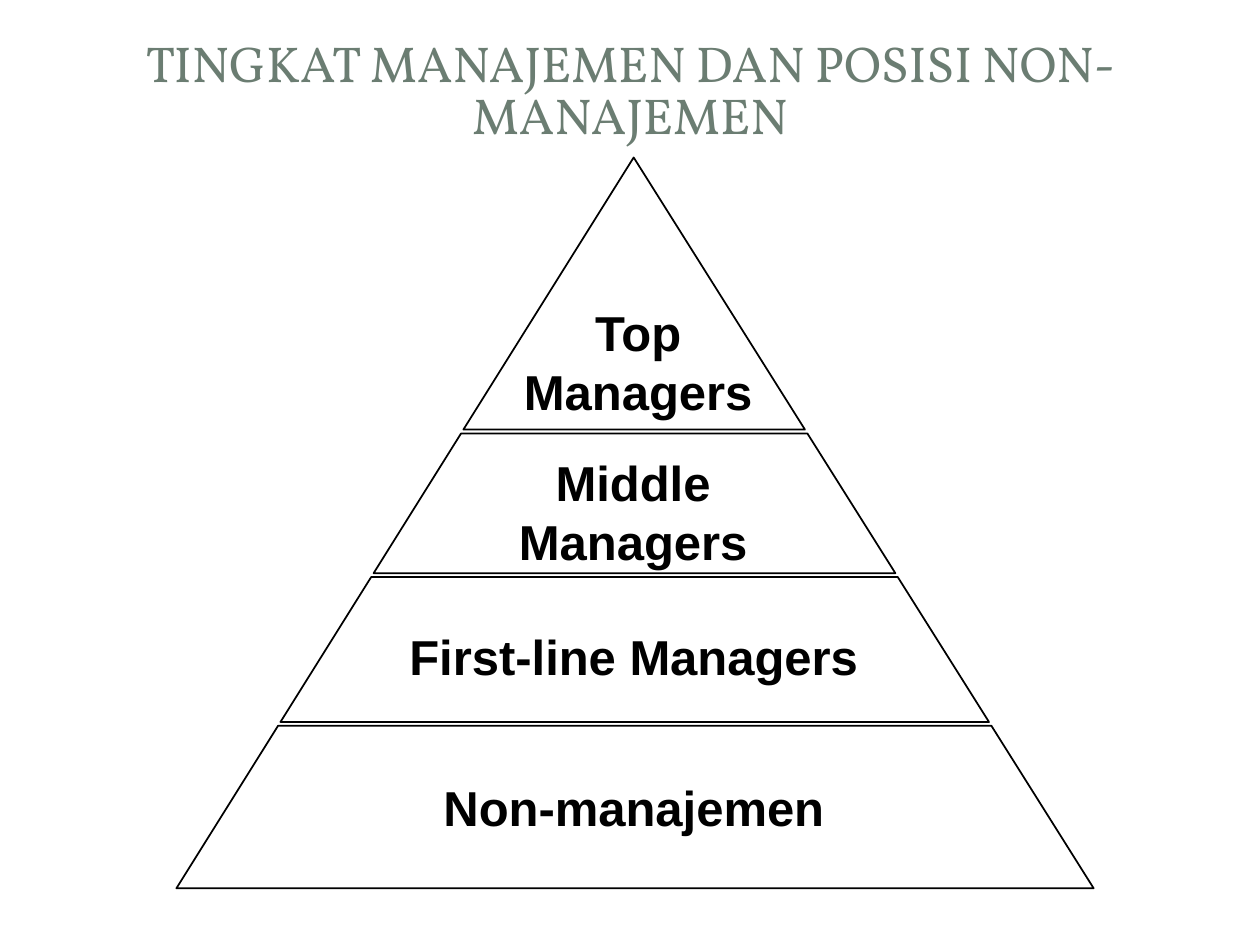
from pptx import Presentation
from pptx.dml.color import RGBColor
from pptx.enum.text import MSO_ANCHOR, MSO_AUTO_SIZE, PP_ALIGN
from pptx.util import Inches, Pt

CENTER = PP_ALIGN.CENTER
MIDDLE = MSO_ANCHOR.MIDDLE
NO_FIT = MSO_AUTO_SIZE.NONE
TITLE_ONLY = 5

TITLE = "TINGKAT MANAJEMEN DAN POSISI NON-MANAJEMEN"
# label, top and bottom of the tier, label box (left, top, width, height)
TIERS = [
    ("Top Managers", 1.25, 3.41, (3.94, 2.35, 2.25, 1.03)),
    ("Middle Managers", 3.44, 4.55, (3.38, 3.54, 3.29, 1.03)),
    ("First-line Managers", 4.58, 5.73, (3.06, 4.92, 3.94, 0.56)),
    ("Non-manajemen", 5.76, 7.05, (2.34, 6.12, 5.38, 0.56)),
]
APEX_X, APEX_Y = 5.03, 1.25
BASE_LEFT, BASE_RIGHT, BASE_Y = 1.4, 8.68, 7.05

THEME = {
    "title": {"font": "Vollkorn", "size": 28.8, "color": "6B7D72", "bold": False},
    "label": {"font": "Arial", "size": 28, "color": "000000", "bold": True},
    "fill": "FFFFFF",
    "line": "000000",
    "line_width": 1,
}


def add_span(frame, text, style):
    para = frame.paragraphs[0]
    para.alignment = CENTER
    span = para.add_run()
    span.text = text
    span.font.name = style["font"]
    span.font.size = Pt(style["size"])
    span.font.bold = style["bold"]
    span.font.color.rgb = RGBColor.from_string(style["color"])
    return para


def edges_at(y):
    """Left and right x of the pyramid's sides at height y."""
    share = (y - APEX_Y) / (BASE_Y - APEX_Y)
    return [APEX_X + (corner - APEX_X) * share for corner in (BASE_LEFT, BASE_RIGHT)]


def add_tier(slide, top, bottom):
    top_left, top_right = edges_at(top)
    bottom_left, bottom_right = edges_at(bottom)
    corners = [(bottom_right, bottom), (top_right, top), (top_left, top), (bottom_left, bottom)]
    if top == APEX_Y:
        corners.pop(1)
    points = [(Inches(x), Inches(y)) for x, y in corners]
    builder = slide.shapes.build_freeform(*points[0])
    builder.add_line_segments(points[1:], close=True)
    tier = builder.convert_to_shape()
    tier.shadow.inherit = False
    tier.fill.solid()
    tier.fill.fore_color.rgb = RGBColor.from_string(THEME["fill"])
    tier.line.color.rgb = RGBColor.from_string(THEME["line"])
    tier.line.width = Pt(THEME["line_width"])


def add_label(slide, text, place):
    box = slide.shapes.add_textbox(*map(Inches, place))
    box.text_frame.word_wrap = True
    add_span(box.text_frame, text, THEME["label"])


def add_title(slide):
    title = slide.shapes.title
    title.left, title.top, title.width, title.height = map(Inches, (0.5, 0.3, 9, 0.87))
    frame = title.text_frame
    frame.word_wrap = True
    frame.auto_size = NO_FIT
    frame.vertical_anchor = MIDDLE
    para = add_span(frame, TITLE, THEME["title"])
    para.line_spacing = 0.87


def main():
    deck = Presentation()
    deck.slide_width, deck.slide_height = Inches(10), Inches(7.5)
    slide = deck.slides.add_slide(deck.slide_layouts[TITLE_ONLY])
    add_title(slide)
    for _, top, bottom, _ in reversed(TIERS):
        add_tier(slide, top, bottom)
    for text, _, _, place in TIERS:
        add_label(slide, text, place)
    deck.save("out.pptx")


if __name__ == "__main__":
    main()
